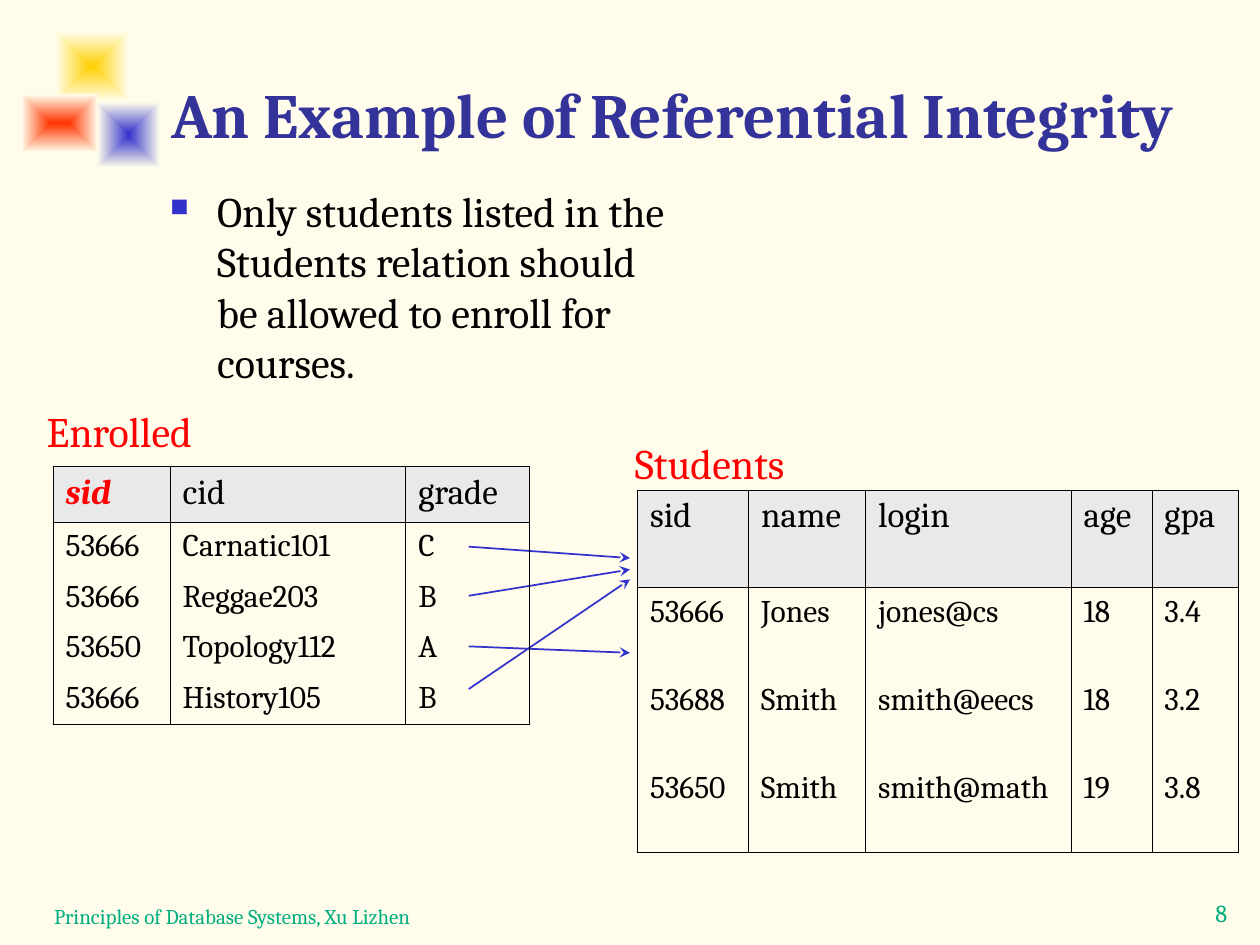
"""Builds a slide that explains referential integrity with two linked tables."""
from dataclasses import dataclass, field

from lxml.etree import SubElement
from pptx import Presentation
from pptx.dml.color import RGBColor
from pptx.enum.shapes import MSO_CONNECTOR, MSO_SHAPE
from pptx.enum.text import MSO_ANCHOR, MSO_AUTO_SIZE, PP_ALIGN
from pptx.oxml.ns import qn
from pptx.slide import Slide
from pptx.util import Cm, Pt

RECTANGLE = MSO_SHAPE.RECTANGLE
STRAIGHT = MSO_CONNECTOR.STRAIGHT
TOP, BOTTOM = MSO_ANCHOR.TOP, MSO_ANCHOR.BOTTOM
LEFT, CENTER = PP_ALIGN.LEFT, PP_ALIGN.CENTER
FIXED, GROW = MSO_AUTO_SIZE.NONE, MSO_AUTO_SIZE.SHAPE_TO_FIT_TEXT

CREAM = RGBColor(0xFF, 0xFC, 0xEB)
PALE = RGBColor(0xFF, 0xFE, 0xEB)
YELLOW = RGBColor(0xFF, 0xCF, 0x01)
BLUE = RGBColor(0x33, 0x33, 0xCC)
ORANGE = RGBColor(0xFF, 0x33, 0x00)
NAVY = RGBColor(0x33, 0x33, 0x99)
GREEN = RGBColor(0x00, 0xAE, 0x80)
RED = RGBColor(0xFF, 0x00, 0x00)
BLACK = RGBColor(0x00, 0x00, 0x00)
GREY = RGBColor(0xE9, 0xE9, 0xE9)

FONT = "Cambria"
BORDER = Pt(0.45)


@dataclass
class Ornament:
    box: tuple
    color: RGBColor


@dataclass
class Label:
    text: str
    box: tuple
    font: dict
    anchor: MSO_ANCHOR = TOP
    align: PP_ALIGN = LEFT
    wrap: bool = True
    bullet: bool = False


@dataclass
class Relation:
    left: float
    top: float
    widths: tuple
    header_height: float
    row_height: float
    rows: list
    key_font: dict = field(default_factory=dict)


@dataclass
class Reference:
    start_y: float
    end_y: float


ORNAMENTS = [
    Ornament((1.12, 0.64, 1.47, 1.4), YELLOW),
    Ornament((1.96, 2.06, 1.27, 1.32), BLUE),
    Ornament((0.43, 1.9, 1.55, 1.17), ORANGE),
]
RELATION_NAME = {"size": Pt(24), "color": RED}
LABELS = [
    Label("8", (23.11, 17.98, 3.02, 0.97), {"size": Pt(14), "color": GREEN},
          align=CENTER, wrap=False),
    Label("Principles of Database Systems, Xu Lizhen", (0.84, 17.58, 16.51, 1.27),
          {"size": Pt(12), "color": GREEN}, anchor=BOTTOM),
    Label("An Example of Referential Integrity", (3.2, 0.43, 21.64, 2.74),
          {"size": Pt(36), "color": NAVY, "bold": True}, anchor=BOTTOM),
    Label("Only students listed in the Students relation should be allowed to enroll "
          "for courses.", (3.18, 3.61, 10.64, 13.97),
          {"size": Pt(24), "color": BLACK}, bullet=True),
    Label("Enrolled", (0.69, 8.05, 3.96, 1.27), RELATION_NAME, wrap=False),
    Label("Students", (12.55, 8.69, 3.99, 1.27), RELATION_NAME, wrap=False),
]
REFERENCE_START_X, REFERENCE_END_X = 9.45, 12.7
REFERENCES = [
    Reference(11.02, 11.25),
    Reference(12.01, 11.48),
    Reference(13.89, 11.68),
    Reference(13.03, 13.16),
]
RELATIONS = [
    Relation(1.07, 9.4, (2.36, 4.75, 2.49), 1.12, 1.02, [
        ("sid", "cid", "grade"),
        ("53666", "Carnatic101", "C"),
        ("53666", "Reggae203", "B"),
        ("53650", "Topology112", "A"),
        ("53666", "History105", "B"),
    ], {"color": RED, "bold": True, "italic": True}),
    Relation(12.85, 9.88, (2.24, 2.36, 4.14, 1.63, 1.75), 1.96, 1.78, [
        ("sid", "name", "login", "age", "gpa"),
        ("53666", "Jones", "jones@cs", "18", "3.4"),
        ("53688", "Smith", "smith@eecs", "18", "3.2"),
        ("53650", "Smith", "smith@math", "19", "3.8"),
    ]),
]


def write(paragraph, text: str, values: dict) -> None:
    run = paragraph.add_run()
    run.text = text
    for name, value in {"name": FONT, **values}.items():
        if name == "color":
            run.font.color.rgb = value
        else:
            setattr(run.font, name, value)


def add_bullet(paragraph) -> None:
    paragraph.space_before = Pt(6)
    properties = paragraph._p.get_or_add_pPr()
    properties.set("marL", str(Cm(0.95)))
    properties.set("indent", str(-Cm(0.95)))
    SubElement(SubElement(properties, qn("a:buClr")), qn("a:srgbClr"), val=str(BLUE))
    SubElement(properties, qn("a:buSzPct"), val="60000")
    SubElement(properties, qn("a:buChar"), char="■")


def draw_ornament(slide: Slide, ornament: Ornament) -> None:
    square = slide.shapes.add_shape(RECTANGLE, *map(Cm, ornament.box))
    square.shadow.inherit = False
    square.line.fill.background()
    square.fill.gradient()
    for stop, color in zip(square.fill.gradient_stops, (ornament.color, PALE)):
        stop.color.rgb = color
    gradient = square._element.spPr.find(qn("a:gradFill"))
    gradient.remove(gradient.find(qn("a:lin")))
    center = SubElement(gradient, qn("a:path"), path="rect")
    SubElement(center, qn("a:fillToRect"), l="50000", t="50000", r="50000", b="50000")


def draw_label(slide: Slide, label: Label) -> None:
    frame = slide.shapes.add_textbox(*map(Cm, label.box)).text_frame
    layout = {"word_wrap": label.wrap, "vertical_anchor": label.anchor,
              "auto_size": FIXED if label.wrap else GROW}
    for name, value in layout.items():
        setattr(frame, name, value)
    paragraph = frame.paragraphs[0]
    paragraph.alignment = label.align
    if label.bullet:
        add_bullet(paragraph)
    write(paragraph, label.text, label.font)


def draw_reference(slide: Slide, reference: Reference) -> None:
    arrow = slide.shapes.add_connector(
        STRAIGHT, Cm(REFERENCE_START_X), Cm(reference.start_y),
        Cm(REFERENCE_END_X), Cm(reference.end_y))
    arrow.line.color.rgb = BLUE
    arrow.line.width = Pt(1)
    SubElement(arrow.line._get_or_add_ln(), qn("a:tailEnd"), type="stealth")
    SubElement(arrow._element.spPr, qn("a:effectLst"))


def set_borders(cell, sides: dict) -> None:
    properties = cell._tc.get_or_add_tcPr()
    for side, visible in sides.items():
        edge = SubElement(properties, qn(f"a:ln{side}"), w=str(BORDER))
        if visible:
            SubElement(SubElement(edge, qn("a:solidFill")), qn("a:srgbClr"), val=str(BLACK))
        else:
            SubElement(edge, qn("a:noFill"))


def draw_relation(slide: Slide, relation: Relation) -> None:
    last = len(relation.rows) - 1
    height = relation.header_height + last * relation.row_height
    table = slide.shapes.add_table(
        last + 1, len(relation.widths), Cm(relation.left), Cm(relation.top),
        Cm(sum(relation.widths)), Cm(height)).table
    for name in ("first_row", "horz_banding"):
        setattr(table, name, False)
    for column, width in zip(table.columns, relation.widths):
        column.width = Cm(width)
    for r, values in enumerate(relation.rows):
        header = r == 0
        table.rows[r].height = Cm(relation.header_height if header else relation.row_height)
        for c, value in enumerate(values):
            cell = table.cell(r, c)
            set_borders(cell, {"L": True, "R": True, "T": r <= 1, "B": r in (0, last)})
            if header:
                cell.fill.solid()
                cell.fill.fore_color.rgb = GREY
            else:
                cell.fill.background()
            font = {"size": Pt(20 if header else 18), "color": BLACK}
            if header and c == 0:
                font.update(relation.key_font)
            write(cell.text_frame.paragraphs[0], value, font)


def main() -> None:
    deck = Presentation()
    deck.slide_width, deck.slide_height = Cm(25.4), Cm(19.05)
    slide = deck.slides.add_slide(deck.slide_layouts[6])
    slide.background.fill.solid()
    slide.background.fill.fore_color.rgb = CREAM
    for draw, items in ((draw_ornament, ORNAMENTS), (draw_label, LABELS),
                        (draw_reference, REFERENCES), (draw_relation, RELATIONS)):
        for item in items:
            draw(slide, item)
    deck.save("out.pptx")


if __name__ == "__main__":
    main()
